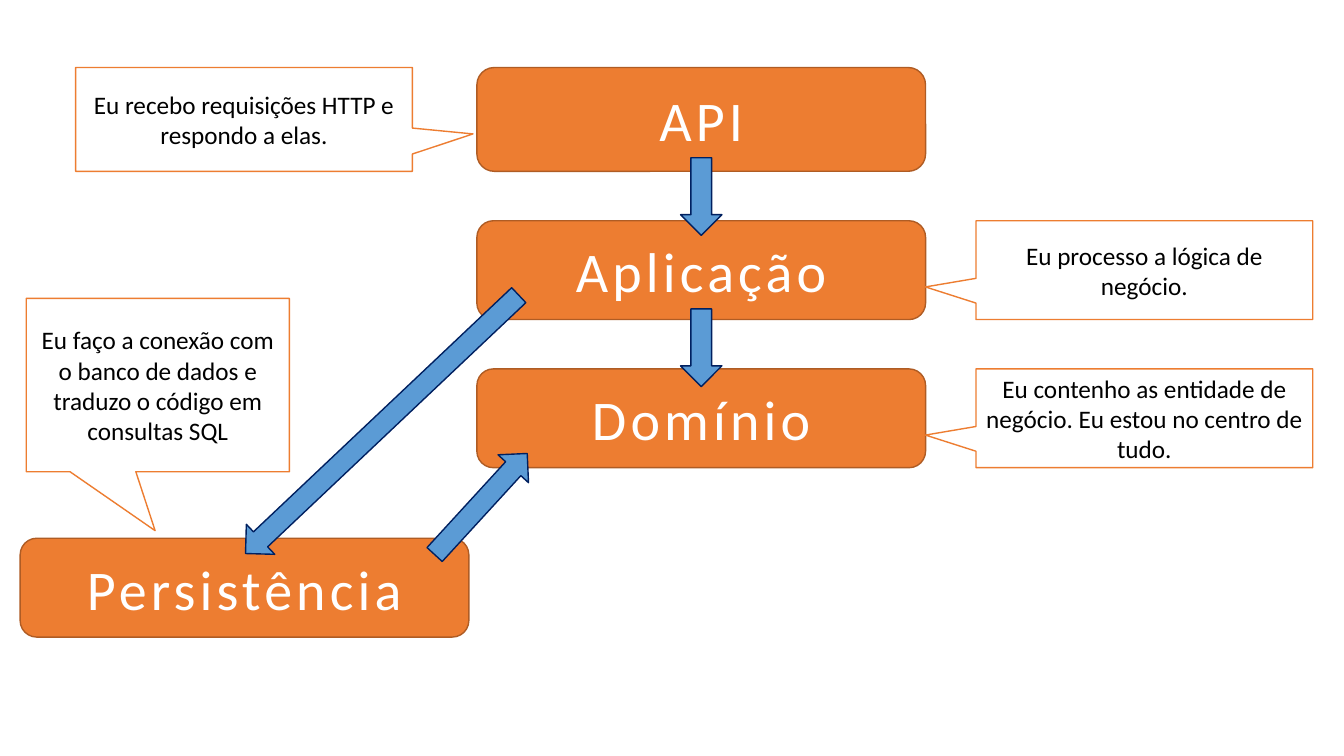
from dataclasses import dataclass

from pptx import Presentation
from pptx.dml.color import RGBColor
from pptx.enum.shapes import MSO_SHAPE
from pptx.enum.text import MSO_ANCHOR, PP_ALIGN
from pptx.util import Inches, Pt


@dataclass(frozen=True)
class Theme:
    font: str = "Calibri"
    layer_size: int = 40
    note_size: int = 18
    layer_spacing: int = 300  # hundredths of a point
    line_width: int = 1
    white: str = "FFFFFF"
    black: str = "000000"
    orange: str = "ED7D31"
    dark_orange: str = "AF5C24"
    blue: str = "5B9BD5"
    navy: str = "002060"


class SlideBuilder:
    def __init__(self, slide, theme):
        self.slide = slide
        self.theme = theme

    def shape(self, kind, left, top, width, height, fill, line):
        shape = self.slide.shapes.add_shape(
            kind, Inches(left), Inches(top), Inches(width), Inches(height))
        shape.shadow.inherit = False
        shape.fill.solid()
        shape.fill.fore_color.rgb = RGBColor.from_string(fill)
        shape.line.color.rgb = RGBColor.from_string(line)
        shape.line.width = Pt(self.theme.line_width)
        return shape

    def text(self, shape, words, size, color):
        frame = shape.text_frame
        frame.word_wrap = True
        frame.vertical_anchor = MSO_ANCHOR.MIDDLE
        para = frame.paragraphs[0]
        para.alignment = PP_ALIGN.CENTER
        span = para.add_run()
        span.text = words
        span.font.name = self.theme.font
        span.font.size = Pt(size)
        span.font.color.rgb = RGBColor.from_string(color)
        return span

    def layer(self, name, left, top, height):
        theme = self.theme
        box = self.shape(MSO_SHAPE.ROUNDED_RECTANGLE, left, top, LAYER_WIDTH,
                         height, theme.orange, theme.dark_orange)
        span = self.text(box, name, theme.layer_size, theme.white)
        span.font._element.set("spc", str(theme.layer_spacing))

    def callout(self, words, left, top, width, height, tip):
        theme = self.theme
        box = self.shape(MSO_SHAPE.RECTANGULAR_CALLOUT, left, top, width,
                         height, theme.white, theme.orange)
        box.adjustments[0], box.adjustments[1] = tip
        self.text(box, words, theme.note_size, theme.black)

    def arrow(self, center_x, center_y, length, angle):
        theme = self.theme
        arrow = self.shape(
            MSO_SHAPE.RIGHT_ARROW, center_x - length / 2,
            center_y - ARROW_HEIGHT / 2, length, ARROW_HEIGHT,
            theme.blue, theme.navy)
        arrow.rotation = angle


LAYER_WIDTH, LAYER_HEIGHT, API_HEIGHT = 4.45, 0.98, 1.03
STACK_LEFT, API_TOP, APPLICATION_TOP, DOMAIN_TOP = 4.73, 0.67, 2.19, 3.66
NOTE_WIDTH, RIGHT_NOTE_LEFT = 3.34, 9.68
ARROW_HEIGHT = 0.41
STACK_CENTER = STACK_LEFT + LAYER_WIDTH / 2

deck = Presentation()
deck.slide_width = Inches(13.33)
deck.slide_height = Inches(7.5)
page = SlideBuilder(deck.slides.add_slide(deck.slide_layouts[6]), Theme())

# Layers
page.layer("API", STACK_LEFT, API_TOP, API_HEIGHT)
page.layer("Aplicação", STACK_LEFT, APPLICATION_TOP, LAYER_HEIGHT)
page.layer("Domínio", STACK_LEFT, DOMAIN_TOP, LAYER_HEIGHT)
page.layer("Persistência", 0.2, 5.34, LAYER_HEIGHT)

# Dependencies: two down the stack, then to and from persistence
for center_y in (1.95, 3.45):
    page.arrow(STACK_CENTER, center_y, 0.77, 90)
page.arrow(3.79, 4.21, 3.73, 136.6)
page.arrow(4.77, 5, 1.36, 312.5)

# What each layer says
page.callout("Eu recebo requisições HTTP e respondo a elas.",
             0.75, API_TOP, NOTE_WIDTH, API_HEIGHT, (0.68, 0.14))
for top, words in (
    (APPLICATION_TOP, "Eu processo a lógica de negócio."),
    (DOMAIN_TOP, "Eu contenho as entidade de negócio. "
                 "Eu estou no centro de tudo."),
):
    page.callout(words, RIGHT_NOTE_LEFT, top, NOTE_WIDTH, LAYER_HEIGHT,
                 (-0.65, 0.17))
page.callout("Eu faço a conexão com o banco de dados e traduzo o código "
             "em consultas SQL", 0.26, 2.96, 2.61, 1.72, (-0.01, 0.84))

deck.save("out.pptx")
